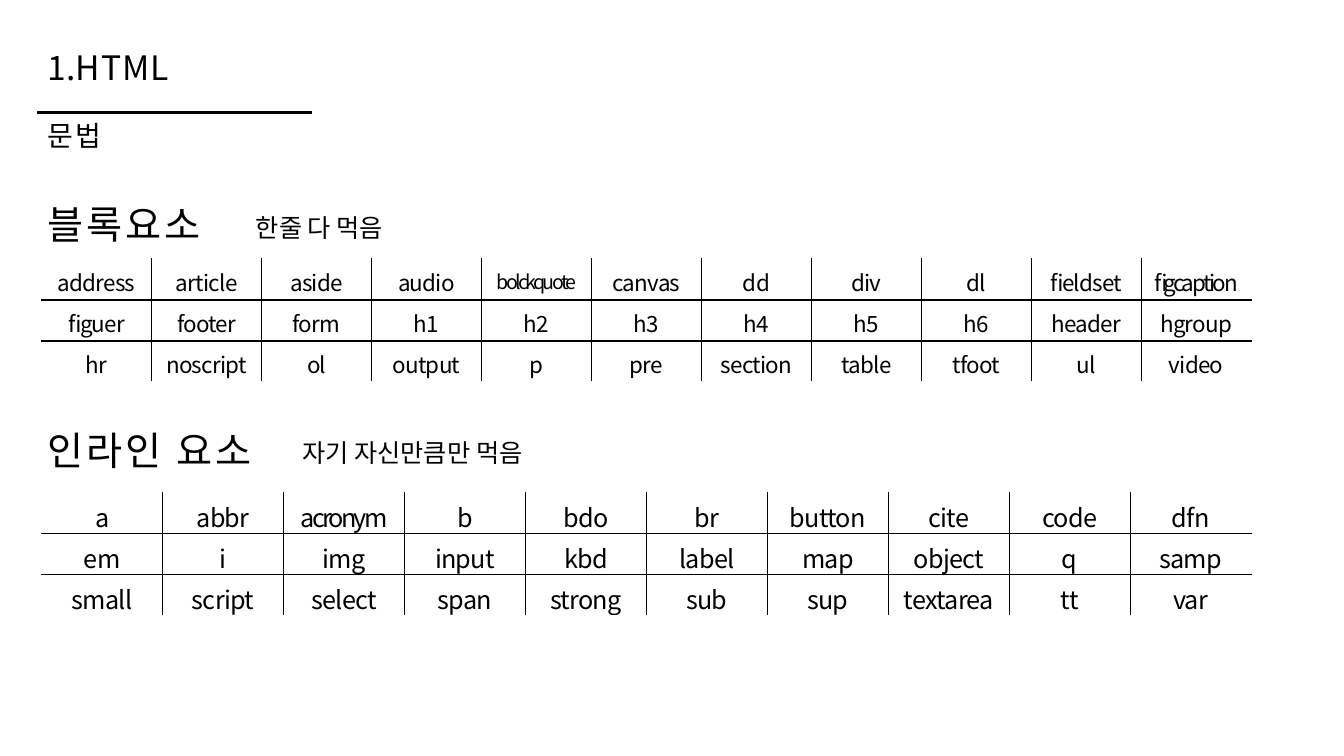
from pptx import Presentation
from pptx.dml.color import RGBColor
from pptx.enum.shapes import MSO_CONNECTOR
from pptx.enum.text import MSO_AUTO_SIZE, MSO_ANCHOR, PP_ALIGN
from pptx.oxml import parse_xml
from pptx.oxml.ns import nsdecls
from pptx.util import Inches, Pt
from lxml.etree import SubElement

BLACK = RGBColor(0, 0, 0)
WHITE = RGBColor(255, 255, 255)
KOREAN_FONT = "Noto Sans CJK KR"
TAG_FONT = "Noto Sans CJK JP"

deck = Presentation()
deck.slide_width, deck.slide_height = Inches(13.33), Inches(7.5)
page = deck.slides.add_slide(deck.slide_layouts[6])

# The page is a grid of 100 columns by 100 rows
COLUMN = deck.slide_width / 100
ROW = deck.slide_height / 100
LEFT = 3.45


def style_span(span, font_name, size, tracking):
    span.font.name = font_name
    span.font.size = Pt(size)
    span.font.color.rgb = BLACK
    props = span._r.get_or_add_rPr()
    props.set("spc", str(round(tracking * 100)))
    east_asian = parse_xml(f'<a:ea {nsdecls("a")} typeface="{font_name}"/>')
    props.find("{*}latin").addnext(east_asian)


def grid_box(column, row, columns, rows):
    return (round(column * COLUMN), round(row * ROW),
            round(columns * COLUMN), round(rows * ROW))


# Headings: place, size, and pieces of text with their letter spacing
headings = [
    ((LEFT, 6.13, 13.8, 5.6), 24, [("1.", 0.1), ("H", 0.9), ("TML", 0.8)]),
    ((LEFT, 15.6, 10.13, 4.67), 20, [("문법", 1.6)]),
    ((LEFT, 26.4, 15.75, 6.4), 28, [("블록요소", 2.1)]),
    ((LEFT, 56.27, 18.98, 6.4), 28, [("인라인 요소", 2.2)]),
]
for place, size, pieces in headings:
    frame = page.shapes.add_textbox(*grid_box(*place)).text_frame
    frame.word_wrap = True
    frame.auto_size = MSO_AUTO_SIZE.SHAPE_TO_FIT_TEXT
    frame.margin_left = frame.margin_top = Inches(0.01)
    frame.margin_right = frame.margin_bottom = 0
    para = frame.paragraphs[0]
    para.space_before = Pt(1)
    for text, tracking in pieces:
        span = para.add_run()
        span.text = text
        style_span(span, KOREAN_FONT, size, tracking)

# Remarks beside the section headings
remarks = [
    ((18.3, 27.47, 12.15, 5.33), "한줄 다 먹음"),
    ((21.76, 57.2, 19.65, 5.33), "자기 자신만큼만 먹음"),
]
for place, text in remarks:
    frame = page.shapes.add_textbox(*grid_box(*place)).text_frame
    frame.word_wrap = False
    frame.text = text
    style_span(frame.paragraphs[0].runs[0], KOREAN_FONT, 18, 0)

# Rule under the title
left, top, width, _ = grid_box(2.78, 14.93, 20.4, 0)
rule = page.shapes.add_connector(MSO_CONNECTOR.STRAIGHT, left, top, left + width, top)
rule.line.color.rgb = BLACK
rule.line.width = Pt(2.28)
SubElement(rule._element.spPr, "{http://schemas.openxmlformats.org/drawingml/2006/main}effectLst")

# Tag tables: top row, text size, top margin, tags
TABLE_LEFT, TABLE_WIDTH, TABLE_ROW = 3.1, 90.02, 5.42
TIGHT = {"bolckquote": -1.9, "figcaption": -1.7, "acronym": -2}
SMALL = {"bolckquote": 14}
block_tags = [
    "address article aside audio bolckquote canvas dd div dl fieldset figcaption",
    "figuer footer form h1 h2 h3 h4 h5 h6 header hgroup",
    "hr noscript ol output p pre section table tfoot ul video",
]
inline_tags = [
    "a abbr acronym b bdo br button cite code dfn",
    "em i img input kbd label map object q samp",
    "small script select span strong sub sup textarea tt var",
]
for table_top, size, margin, lines in [(34.27, 16, 0.07, block_tags),
                                       (65.2, 18, 0.05, inline_tags)]:
    tags = [line.split() for line in lines]
    last_row, last_column = len(tags) - 1, len(tags[0]) - 1
    place = grid_box(TABLE_LEFT, table_top, TABLE_WIDTH, TABLE_ROW * len(tags))
    table = page.shapes.add_table(len(tags), len(tags[0]), *place).table
    table.first_row = table.horz_banding = False

    for r, tag_row in enumerate(tags):
        for c, tag in enumerate(tag_row):
            cell = table.cell(r, c)
            cell.fill.background()
            cell.vertical_anchor = MSO_ANCHOR.TOP
            cell.margin_left = cell.margin_right = cell.margin_bottom = 0
            cell.margin_top = Inches(0.08 if tag in SMALL else margin)
            cell.text = tag
            para = cell.text_frame.paragraphs[0]
            para.alignment = PP_ALIGN.CENTER
            style_span(para.runs[0], TAG_FONT, SMALL.get(tag, size), TIGHT.get(tag, -0.5))

            # Black between cells, white on the outer edge
            outer = {"L": c == 0, "R": c == last_column, "T": r == 0, "B": r == last_row}
            for index, (side, on_edge) in enumerate(outer.items()):
                border = parse_xml(
                    f'<a:ln{side} {nsdecls("a")} w="12700"><a:solidFill>'
                    f'<a:srgbClr val="{WHITE if on_edge else BLACK}"/>'
                    f'</a:solidFill></a:ln{side}>')
                cell._tc.get_or_add_tcPr().insert(index, border)

deck.save("out.pptx")
